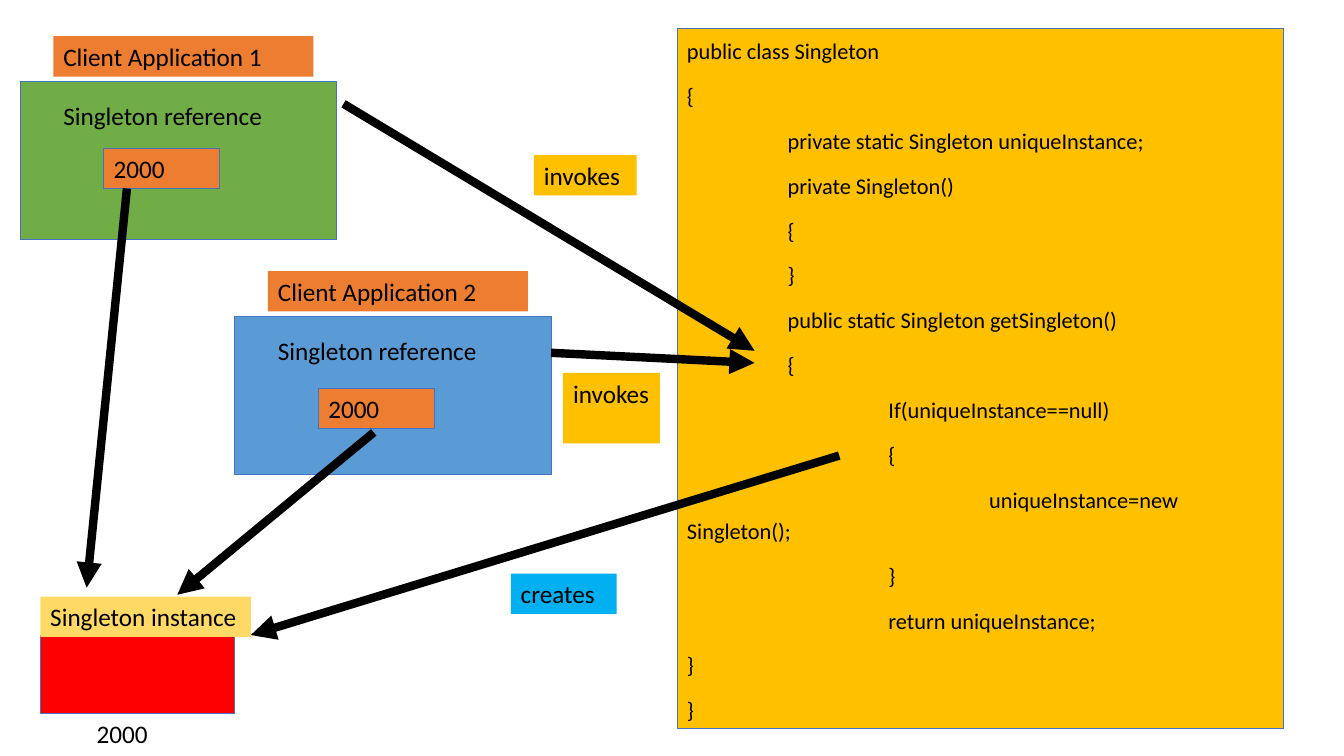
from lxml import etree
from pptx import Presentation
from pptx.dml.color import RGBColor
from pptx.enum.shapes import MSO_CONNECTOR, MSO_SHAPE
from pptx.enum.text import MSO_ANCHOR, PP_ALIGN
from pptx.oxml.ns import qn
from pptx.util import Pt

PX = 9144  # 100 px to the inch
BLACK = RGBColor(0x00, 0x00, 0x00)
GOLD = RGBColor(0xFF, 0xC0, 0x00)
PALE_GOLD = RGBColor(0xFF, 0xD9, 0x66)
ORANGE = RGBColor(0xED, 0x7D, 0x31)
GREEN = RGBColor(0x70, 0xAD, 0x47)
BLUE = RGBColor(0x5B, 0x9B, 0xD5)
SKY = RGBColor(0x00, 0xB0, 0xF0)
RED = RGBColor(0xFF, 0x00, 0x00)
OUTLINE = RGBColor(0x44, 0x72, 0xC4)

# (tab stops of indent, line of code)
CODE = [
    (0, "public class Singleton"),
    (0, "{"),
    (1, "private static Singleton uniqueInstance;"),
    (1, "private Singleton()"),
    (1, "{"),
    (1, "}"),
    (1, "public static Singleton getSingleton()"),
    (1, "{"),
    (2, "If(uniqueInstance==null)"),
    (2, "{"),
    (3, "uniqueInstance=new Singleton();"),
    (2, "}"),
    (2, "return uniqueInstance;"),
    (0, "}"),
    (0, "}"),
]

prs = Presentation()
prs.slide_width, prs.slide_height = 1334 * PX, 750 * PX
slide = prs.slides.add_slide(prs.slide_layouts[6])
shapes = slide.shapes


def add_box(text, x, y, w, h, fill=None, outlined=False, size=18, spacing=1.0, after=0):
    """Add a box; text is a string or a list of (indent, line) pairs."""
    frame = [v * PX for v in (x, y, w, h)]
    if fill is None:
        sp = shapes.add_textbox(*frame)
    else:
        sp = shapes.add_shape(MSO_SHAPE.RECTANGLE, *frame)
        sp.shadow.inherit = False
        sp.fill.solid()
        sp.fill.fore_color.rgb = fill
        if outlined:
            sp.line.color.rgb = OUTLINE
            sp.line.width = Pt(0.75)
        else:
            sp.line.fill.background()
    tf = sp.text_frame
    tf.word_wrap = True
    tf.vertical_anchor = MSO_ANCHOR.TOP
    lines = [(0, text)] if isinstance(text, str) else text
    for i, (indent, line) in enumerate(lines):
        p = tf.add_paragraph() if i else tf.paragraphs[0]
        p.alignment = PP_ALIGN.LEFT
        p.line_spacing = spacing
        p.space_after = Pt(after)
        if indent:
            p._p.get_or_add_pPr().set("indent", str(indent * 100 * PX))
        if line:
            r = p.add_run()
            r.text = line
            r.font.name = "Calibri"
            r.font.size = Pt(size)
            r.font.color.rgb = BLACK


add_box(CODE, 672, 28, 602, 695, fill=GOLD, outlined=True, size=16, spacing=1.15, after=10)

# Client applications, each holding a reference to address 2000
for number, x, y, fill, ref_y, value_y in [
    (1, 20, 81, GREEN, 95, 147),
    (2, 233, 314, BLUE, 328, 385),
]:
    add_box("", x, y, 314, 157, fill=fill, outlined=True)
    add_box(f"Client Application {number}", x + 33, y - 45, 258, 40, fill=ORANGE)
    add_box("Singleton reference", x + 33, ref_y, 227, 40)
    add_box("2000", x + 83, value_y, 115, 40, fill=ORANGE, outlined=True)

# The single shared instance
add_box("", 40, 630, 193, 78, fill=RED, outlined=True)
add_box("Singleton instance", 40, 592, 209, 40, fill=PALE_GOLD)
add_box("2000", 86, 708, 81, 40)

# Arrow labels
add_box("invokes", 530, 154, 102, 40, fill=GOLD)
add_box("invokes", 559, 370, 96, 70, fill=GOLD)
add_box("creates", 507, 569, 105, 40, fill=SKY)

for arrow in [
    (341, 103, 749, 348),  # client 1 invokes getSingleton
    (547, 350, 749, 360),  # client 2 invokes getSingleton
    (833, 452, 249, 630),  # getSingleton creates the instance
    (126, 187, 86, 583),  # client 1 refers to the instance
    (371, 429, 176, 590),  # client 2 refers to the instance
]:
    cxn = shapes.add_connector(MSO_CONNECTOR.STRAIGHT, *[v * PX for v in arrow])
    cxn.line.color.rgb = BLACK
    cxn.line.width = Pt(6)
    etree.SubElement(cxn.line._get_or_add_ln(), qn("a:tailEnd"), type="triangle")
    etree.SubElement(cxn._element.spPr, qn("a:effectLst"))

prs.save("out.pptx")
